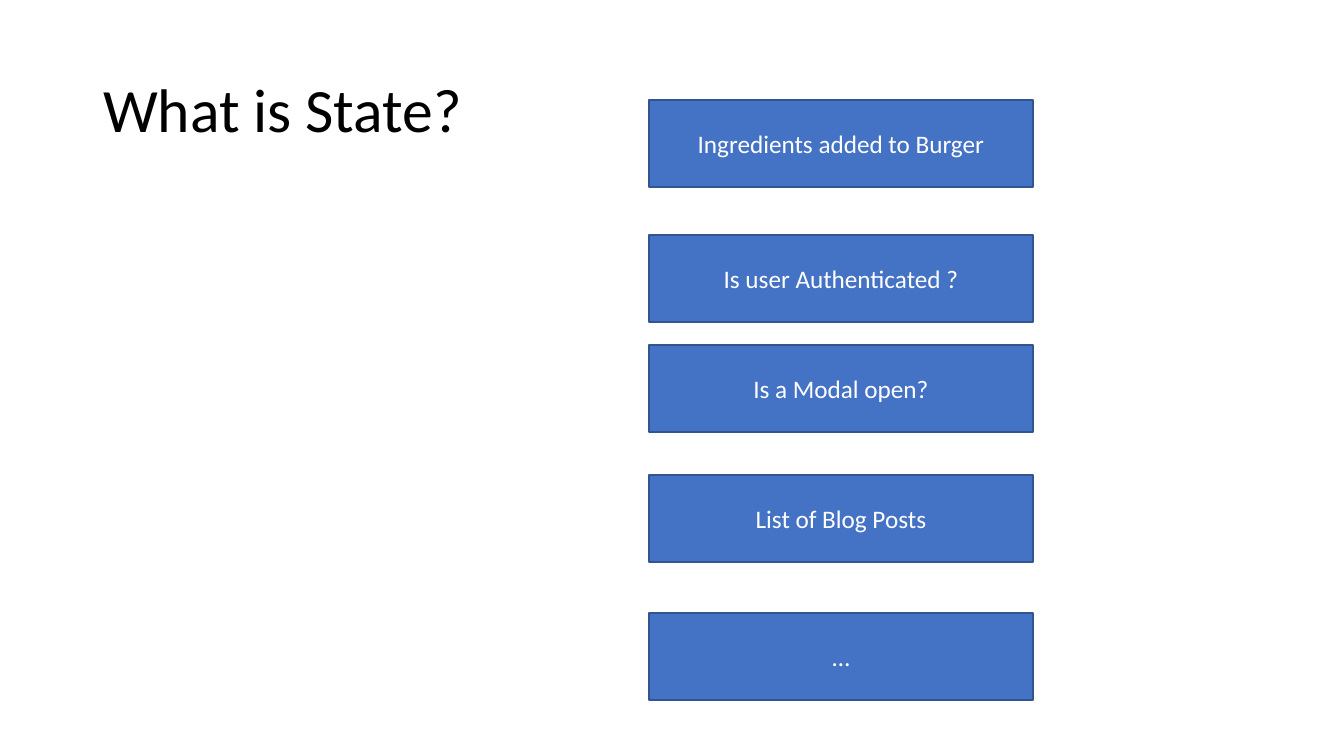
"""Build the "What is State?" slide with its column of state examples."""
from pptx import Presentation, util as u
from pptx.dml.color import RGBColor
from pptx.enum import shapes, text

COLORS = {"title": "000000", "box": "4472C4", "border": "325491", "label": "FFFFFF"}
FONT = "Calibri"
BOX_LEFT, BOX_WIDTH, BOX_HEIGHT = 649, 384, 87
EXAMPLES = [
    ("Ingredients added to Burger", 100),
    ("Is user Authenticated ?", 235),
    ("Is a Modal open?", 345),
    ("List of Blog Posts", 475),
    ("…", 613),
]


def px(pixels):
    return u.Emu(round(pixels * 914400 / 100.8))


def write(frame, words, *, size, color, align, spacing=1.0):
    frame.word_wrap = True
    frame.auto_size = text.MSO_AUTO_SIZE.NONE
    frame.vertical_anchor = text.MSO_ANCHOR.MIDDLE
    paragraph = frame.paragraphs[0]
    paragraph.alignment = align
    paragraph.line_spacing = spacing
    run = paragraph.add_run()
    run.text = words
    run.font.name = FONT
    run.font.size = u.Pt(size)
    run.font.color.rgb = RGBColor.from_string(COLORS[color])


deck = Presentation()
deck.slide_width, deck.slide_height = px(1344), px(756)
slide = deck.slides.add_slide(deck.slide_layouts.get_by_name("Title Only"))

heading = slide.shapes.title
heading.left, heading.top, heading.width, heading.height = map(px, (93, 40, 1159, 146))
write(heading.text_frame, "What is State?", size=44, color="title",
      align=text.PP_ALIGN.LEFT, spacing=0.9)

for example, top in EXAMPLES:
    box = slide.shapes.add_shape(
        shapes.MSO_SHAPE.RECTANGLE, px(BOX_LEFT), px(top), px(BOX_WIDTH), px(BOX_HEIGHT))
    box.shadow.inherit = False
    box.fill.solid()
    box.fill.fore_color.rgb = RGBColor.from_string(COLORS["box"])
    box.line.color.rgb = RGBColor.from_string(COLORS["border"])
    box.line.width = u.Pt(1)
    write(box.text_frame, example, size=18, color="label", align=text.PP_ALIGN.CENTER)

deck.save("out.pptx")
